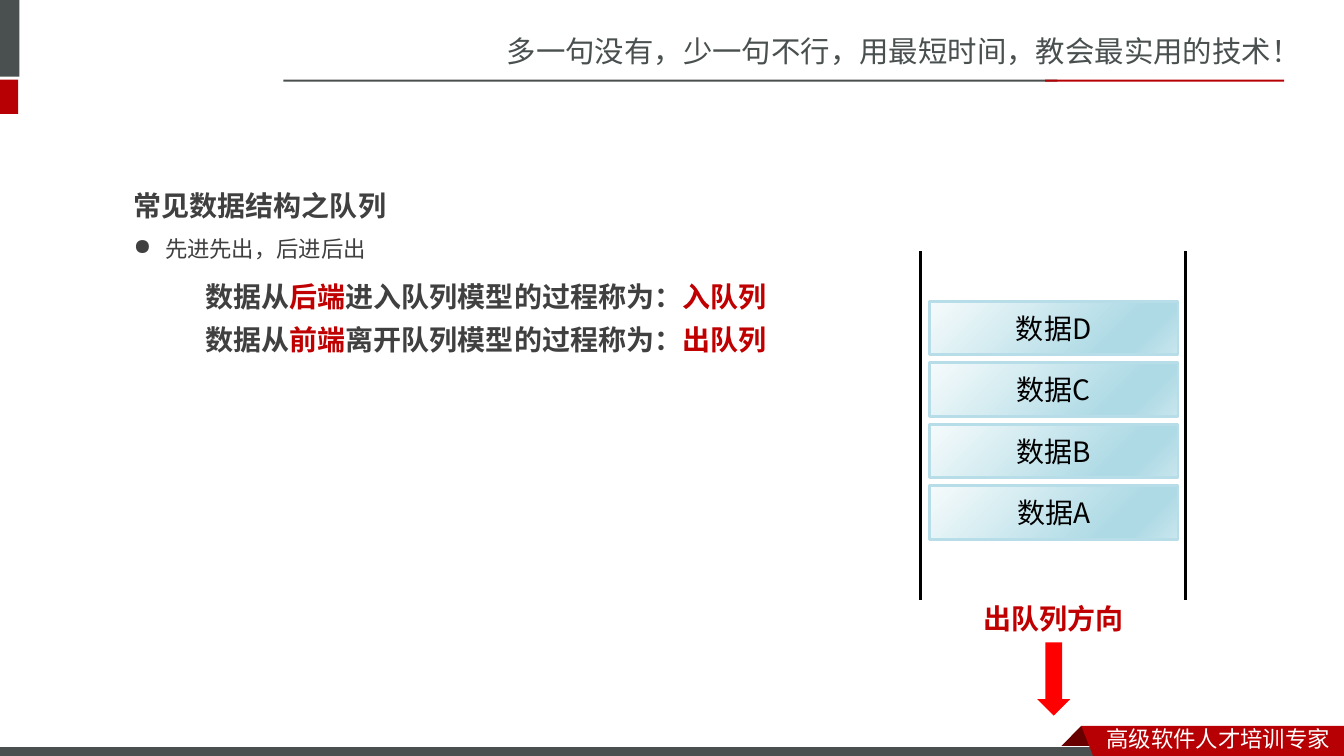
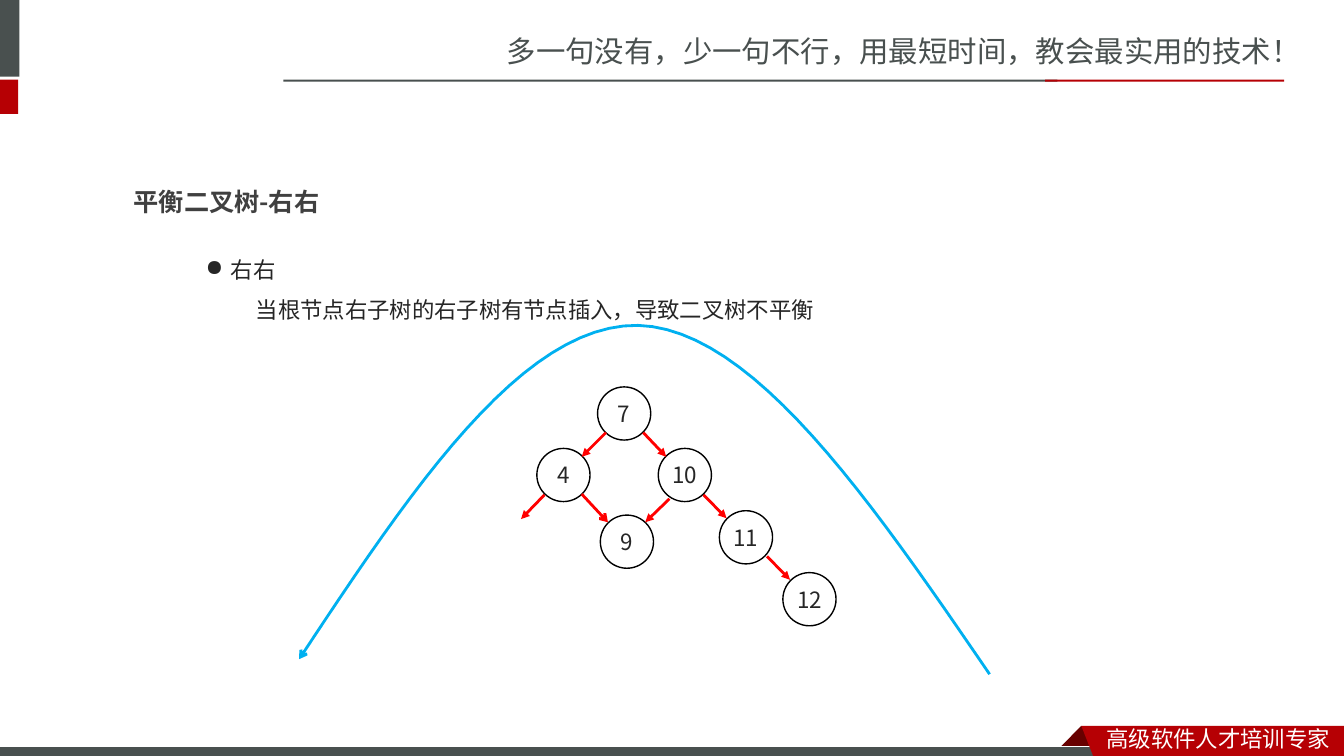
from dataclasses import dataclass
from typing import Optional, Sequence

import pptx
import pptx.dml.color
import pptx.enum.shapes
import pptx.enum.text
import pptx.oxml
import pptx.oxml.ns
import pptx.util

Cm = pptx.util.Cm
Pt = pptx.util.Pt
SHAPE = pptx.enum.shapes.MSO_SHAPE
ALIGN = pptx.enum.text.PP_ALIGN
Point = tuple[float, float]

SANS_SC = "Noto Sans CJK SC"
SANS_JP = "Noto Sans CJK JP"
WHITE, BLACK = "FFFFFF", "000000"
GREY, RED, DARK_RED = "49504F", "B60004", "680000"
HEADING, BODY, ACCENT = "404040", "262626", "C00000"
ARROW_RED, CURVE_BLUE, CARD_BLUE = "FF0000", "00B0F0", "B7DEE8"
CARD_STOPS = ((0, "F6FBFC"), (74, "AEDAE5"), (83, "AEDAE5"), (100, "C9E6EE"))


@dataclass(frozen=True)
class Box:
    left: float
    top: float
    width: float
    height: float

    def lengths(self) -> tuple[int, int, int, int]:
        return Cm(self.left), Cm(self.top), Cm(self.width), Cm(self.height)


@dataclass(frozen=True)
class Run:
    text: str
    size: float
    color: str
    font: str = SANS_SC
    bold: bool = False


@dataclass(frozen=True)
class Paragraph:
    runs: Sequence[Run]
    spacing: Optional[float] = 1.5
    centred: bool = False
    margin: float = 0
    hanging: float = 0
    bullet: str = ""


@dataclass(frozen=True)
class Bar:
    box: Box
    fill: str
    outline: Optional[str] = None


@dataclass(frozen=True)
class Node:
    label: str
    left: float
    top: float


@dataclass(frozen=True)
class Arrow:
    start: Point
    end: Point
    head: str = "triangle"


BARS = (
    Bar(Box(-0.15, 0, 0.64, 1.93), GREY),
    Bar(Box(-0.15, 2.01, 0.61, 0.86), RED),
    Bar(Box(7.14, 2.01, 19.51, 0.05), GREY),
    Bar(Box(26.34, 2.01, 6.02, 0.05), RED),
    Bar(Box(-0.03, 18.82, 27.94, 0.3), GREY, WHITE),
)
FOLD = ((27.25, 18.29), (27.81, 18.85), (27.79, 18.87), (26.72, 18.87), (26.7, 18.85))
RIBBON = ((27.25, 18.29), (33.87, 18.29), (33.87, 19.15), (27.58, 19.13))

NODE_SIZE = 1.34
NODES = (
    Node("7", 15.06, 9.75),
    Node("4", 13.53, 11.3),
    Node("10", 16.59, 11.3),
    Node("9", 15.13, 12.98),
    Node("11", 18.13, 12.87),
    Node("12", 19.73, 14.43),
)
BRANCHES = (
    Arrow((15.27, 10.9), (14.66, 11.51)),
    Arrow((16.21, 10.9), (16.79, 11.51)),
    Arrow((17.73, 12.47), (18.31, 13.06)),
    Arrow((19.33, 14.02), (19.91, 14.61)),
    Arrow((13.72, 12.47), (13.13, 13.08)),
    Arrow((16.87, 12.57), (16.26, 13.16)),
    Arrow((14.66, 12.45), (15.32, 13.16), "arrow"),
)
ROTATION_CURVES = (
    ((24.94, 16.99), (21.95, 12.62), (18.97, 8.28), (16.08, 8.2)),
    ((16.08, 8.2), (13.16, 8.15), (10.34, 12.37), (7.54, 16.61)),
)


def rgb(color: str) -> pptx.dml.color.RGBColor:
    return pptx.dml.color.RGBColor.from_string(color)


def add_child(parent, tag: str, **attributes: str):
    child = parent.makeelement(pptx.oxml.ns.qn(tag), attributes)
    parent.append(child)
    return child


def style_line(line, color: Optional[str], width: float, head: str = "") -> None:
    if color is None:
        line.fill.background()
        return
    line.color.rgb = rgb(color)
    line.width = Pt(width)
    if head:
        add_child(line._get_or_add_ln(), "a:tailEnd", type=head)


def style_shape(shape, fill: Optional[str], outline: Optional[str] = None,
                width: float = 0.75, head: str = "") -> None:
    shape.shadow.inherit = False
    if fill is None:
        shape.fill.background()
    else:
        shape.fill.solid()
        shape.fill.fore_color.rgb = rgb(fill)
    style_line(shape.line, outline, width, head)


def write_text(frame, paragraphs: Sequence[Paragraph]) -> None:
    for index, content in enumerate(paragraphs):
        paragraph = frame.add_paragraph() if index else frame.paragraphs[0]
        properties = paragraph._p.get_or_add_pPr()
        if content.margin or content.hanging:
            properties.set("marL", str(Cm(content.margin)))
            properties.set("indent", str(-Cm(content.hanging)))
        if content.bullet:
            add_child(properties, "a:buChar", char=content.bullet)
        paragraph.alignment = ALIGN.CENTER if content.centred else ALIGN.LEFT
        if content.spacing:
            paragraph.line_spacing = content.spacing
        for part in content.runs:
            run = paragraph.add_run()
            run.text = part.text
            run.font.size = Pt(part.size)
            run.font.bold = part.bold
            run.font.color.rgb = rgb(part.color)
            run.font.name = part.font
            add_child(run._r.get_or_add_rPr(), "a:ea", typeface=part.font)


def add_text(slide, box: Box, *paragraphs: Paragraph) -> None:
    frame = slide.shapes.add_textbox(*box.lengths()).text_frame
    frame.word_wrap = True
    frame.auto_size = pptx.enum.text.MSO_AUTO_SIZE.SHAPE_TO_FIT_TEXT
    write_text(frame, paragraphs)


def add_block(slide, kind, box: Box, fill: Optional[str],
              outline: Optional[str] = None, width: float = 0.75):
    shape = slide.shapes.add_shape(kind, *box.lengths())
    style_shape(shape, fill, outline, width)
    return shape


def add_label(shape, run: Run) -> None:
    frame = shape.text_frame
    frame.word_wrap = False
    frame.vertical_anchor = pptx.enum.text.MSO_ANCHOR.MIDDLE
    write_text(frame, [Paragraph([run], spacing=None, centred=True)])


def add_outline(slide, points: Sequence[Point], closed: bool):
    lengths = [(Cm(x), Cm(y)) for x, y in points]
    builder = slide.shapes.build_freeform(*lengths[0])
    builder.add_line_segments(lengths[1:], close=closed)
    return builder.convert_to_shape()


def add_line(slide, arrow: Arrow, color: str) -> None:
    connector = slide.shapes.add_connector(
        pptx.enum.shapes.MSO_CONNECTOR.STRAIGHT,
        *(Cm(value) for value in (*arrow.start, *arrow.end)))
    style_line(connector.line, color, 2, arrow.head)
    add_child(connector._element.spPr, "a:effectLst")


def curve_points(curve: Sequence[Point], steps: int = 24) -> list[Point]:
    points = []
    for step in range(steps + 1):
        t = step / steps
        weights = ((1 - t) ** 3, 3 * t * (1 - t) ** 2, 3 * t ** 2 * (1 - t), t ** 3)
        points.append((sum(w * x for w, (x, _) in zip(weights, curve)),
                       sum(w * y for w, (_, y) in zip(weights, curve))))
    return points


def add_framed_slide(presentation):
    slide = presentation.slides.add_slide(presentation.slide_layouts[6])
    slogan = Run("多一句没有，少一句不行，用最短时间，教会最实用的技术！", 21, GREY)
    add_text(slide, Box(12.52, 0.71, 21.36, 1.19), Paragraph([slogan], spacing=None))
    style_shape(add_outline(slide, FOLD, True), DARK_RED)
    for bar in BARS:
        add_block(slide, SHAPE.RECTANGLE, bar.box, bar.fill, bar.outline)
    style_shape(add_outline(slide, RIBBON, True), RED)
    tagline = Run("高级软件人才培训专家", 16, WHITE)
    add_text(slide, Box(27.64, 18.16, 6.22, 0.94), Paragraph([tagline], spacing=None))
    return slide


def add_card(slide, label: str, top: float) -> None:
    card = add_block(slide, SHAPE.RECTANGLE, Box(23.42, top, 6.27, 1.35),
                     CARD_BLUE, CARD_BLUE, 2)
    card.fill.gradient()
    card.fill.gradient_angle = 315
    stops = card._element.spPr.find(".//" + pptx.oxml.ns.qn("a:gsLst"))
    for stop in list(stops):
        stops.remove(stop)
    for position, color in CARD_STOPS:
        stop = add_child(stops, "a:gs", pos=str(position * 1000))
        add_child(stop, "a:srgbClr", val=color)
    add_label(card, Run(label, 20, BLACK, SANS_JP))


def build_queue_slide(presentation) -> None:
    slide = add_framed_slide(presentation)
    add_text(slide, Box(3.12, 4.19, 13, 2.46),
             Paragraph([Run("常见数据结构之队列", 20, HEADING, SANS_JP, True)]),
             Paragraph([Run("先进先出，后进后出", 16, HEADING, SANS_JP)],
                       margin=0.79, hanging=0.79, bullet="●"))
    definitions = (
        (6.5, "后端", "进入队列模型的过程称为：", "入队列"),
        (7.59, "前端", "离开队列模型的过程称为：", "出队列"),
    )
    for top, end, process, name in definitions:
        pieces = (("数据从", HEADING), (end, ACCENT), (process, HEADING), (name, ACCENT))
        add_text(slide, Box(4.93, top, 17.96, 1.42), Paragraph(
            [Run(text, 20, color, SANS_JP, True) for text, color in pieces]))
    for x in (23.19, 29.87):
        add_line(slide, Arrow((x, 6.32), (x, 15.11), ""), BLACK)
    for index, letter in enumerate("DCBA"):
        add_card(slide, f"数据{letter}", 7.59 + 1.55 * index)
    add_text(slide, Box(24.03, 14.61, 5.05, 1.42), Paragraph(
        [Run("出队列方向", 20, ACCENT, SANS_JP, True)], centred=True))
    exit_arrow = add_block(slide, SHAPE.RIGHT_ARROW, Box(25.63, 16.69, 1.85, 0.84), ARROW_RED)
    exit_arrow.rotation = 90


def build_tree_slide(presentation) -> None:
    slide = add_framed_slide(presentation)
    add_text(slide, Box(3.12, 4.19, 11.58, 1.27),
             Paragraph([Run("平衡二叉树-右右", 18, HEADING, bold=True)]))
    add_text(slide, Box(4.93, 5.99, 27.28, 2.18),
             Paragraph([Run("右右", 16, BODY)], margin=0.64, hanging=0.64, bullet="●"),
             Paragraph([Run("当根节点右子树的右子树有节点插入，导致二叉树不平衡", 16, BODY)],
                       margin=1.27))
    first, second = (curve_points(curve) for curve in ROTATION_CURVES)
    rotation = add_outline(slide, first + second[1:], False)
    style_shape(rotation, None, CURVE_BLUE, 2, "arrow")
    for node in NODES:
        circle = add_block(slide, SHAPE.OVAL, Box(node.left, node.top, NODE_SIZE, NODE_SIZE),
                           None, BLACK, 1)
        add_label(circle, Run(node.label, 16, BODY))
    for branch in BRANCHES:
        add_line(slide, branch, ARROW_RED)


def main() -> None:
    presentation = pptx.Presentation()
    presentation.slide_width = Cm(33.87)
    presentation.slide_height = Cm(19.05)
    build_queue_slide(presentation)
    build_tree_slide(presentation)
    presentation.save("out.pptx")


if __name__ == "__main__":
    main()
